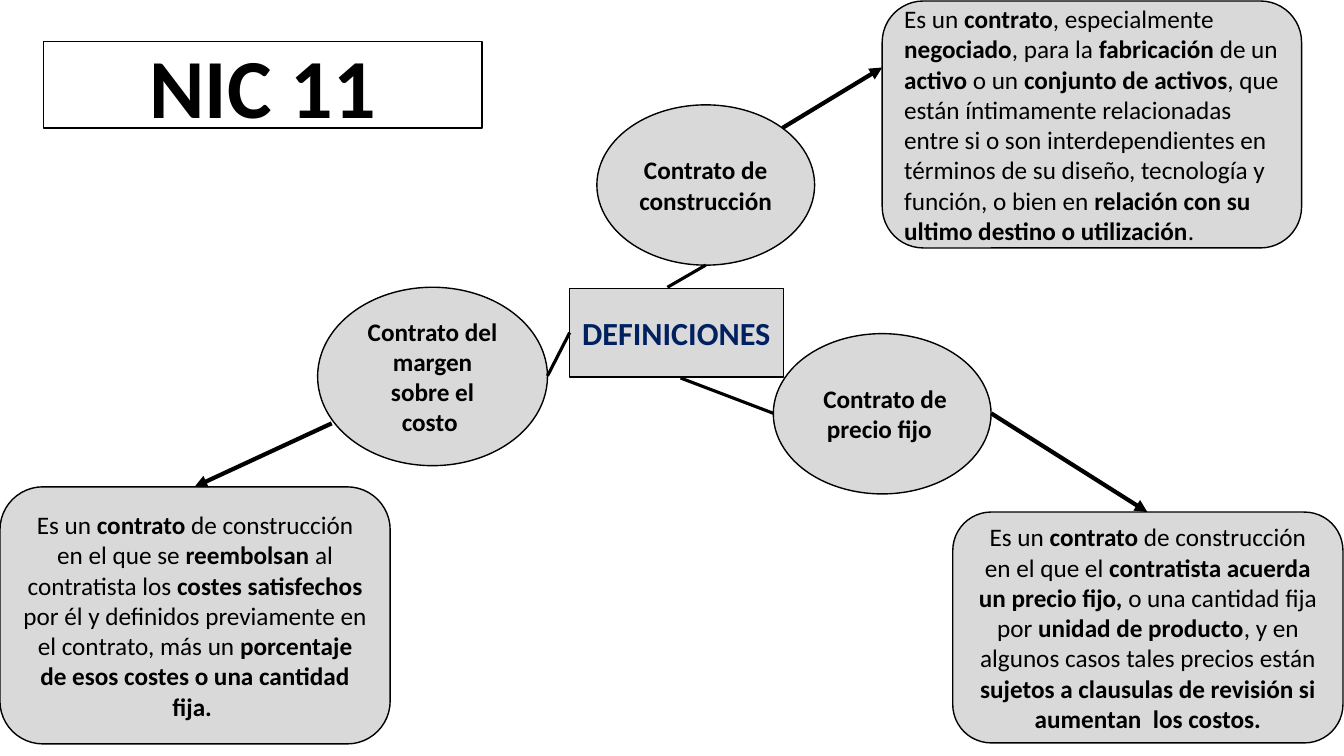
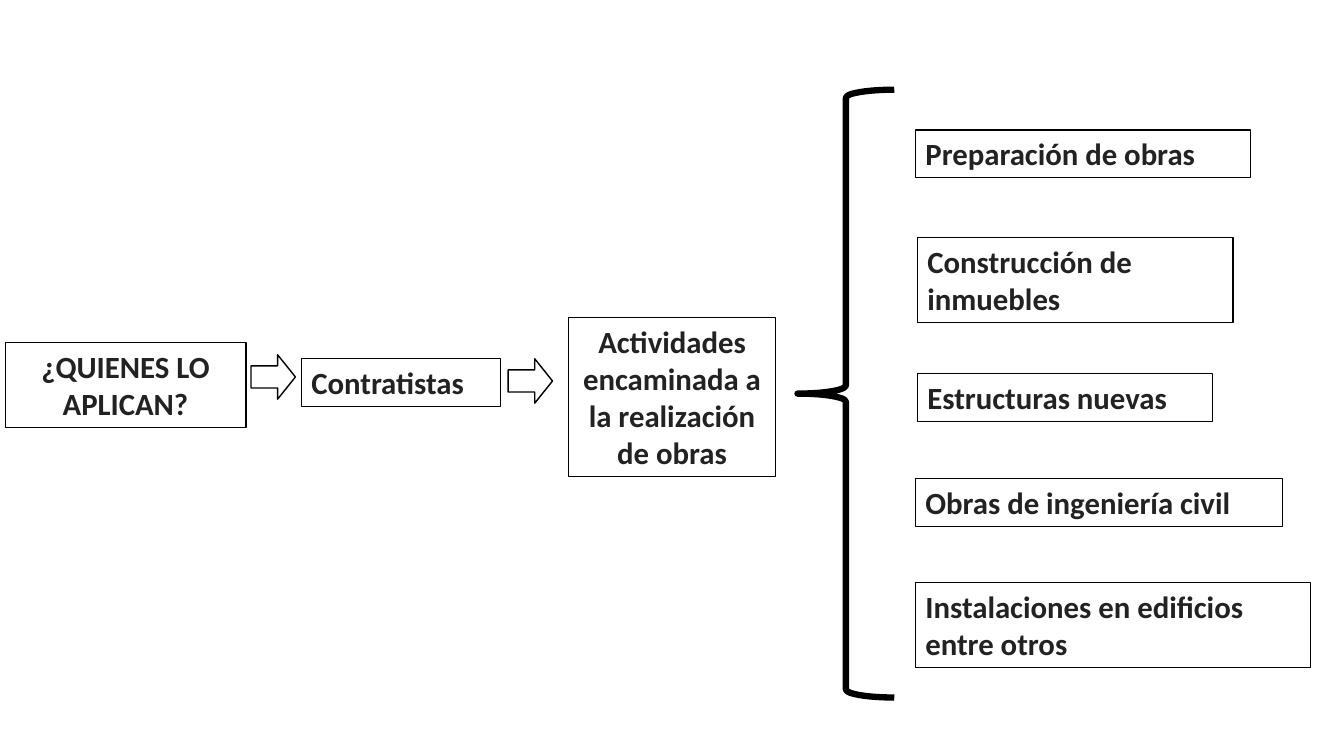
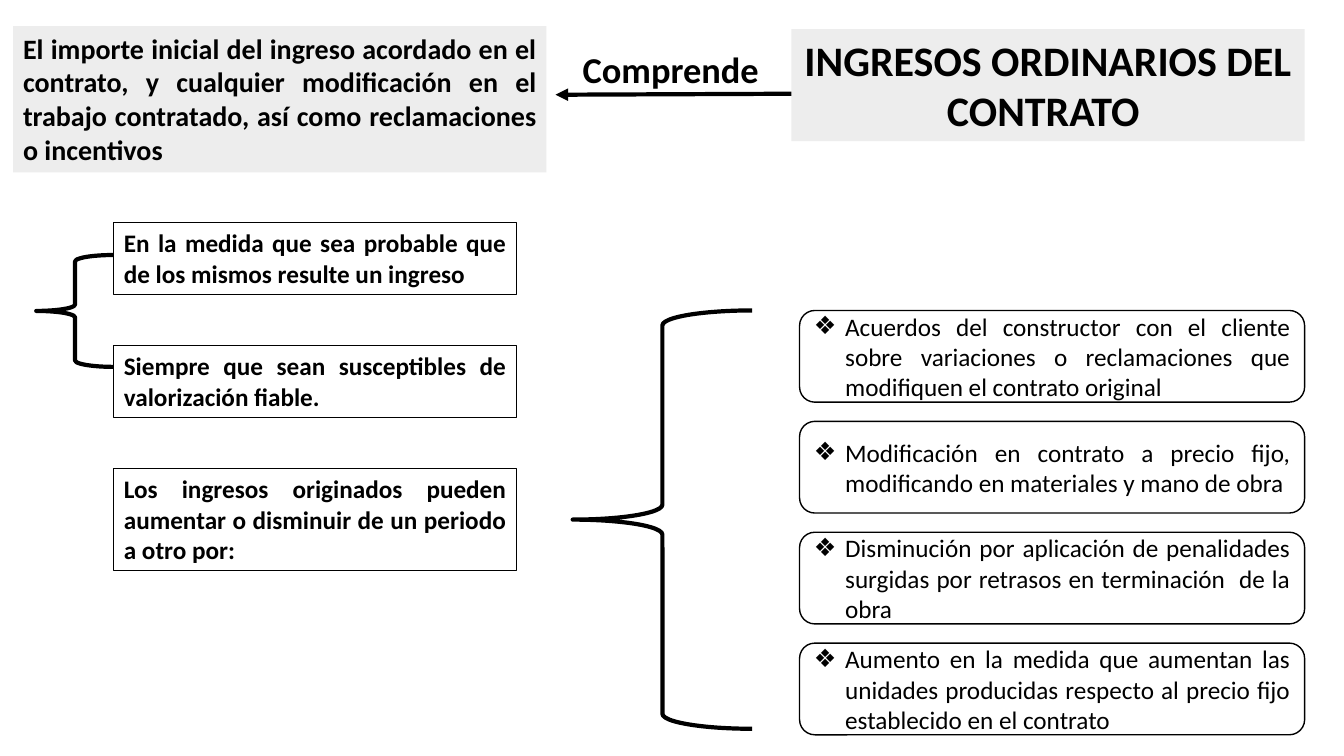
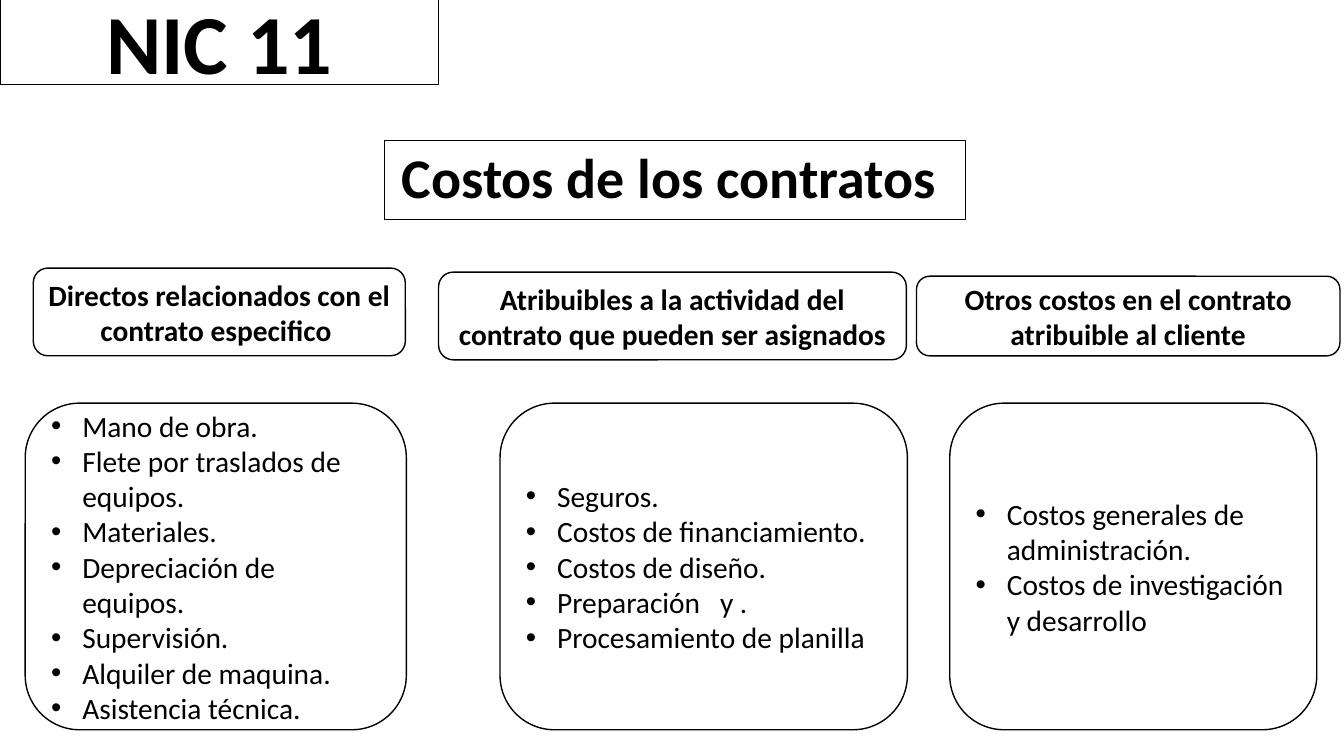
from lxml import etree
from pptx import Presentation
from pptx import util as u
from pptx.dml.color import RGBColor
from pptx.enum import shapes, text
from pptx.oxml import ns

PX = 9144  # 100 px to the inch
FONT = "Calibri"
BLACK = RGBColor(0x00, 0x00, 0x00)
CHARCOAL = RGBColor(0x22, 0x22, 0x22)
NAVY = RGBColor(0x00, 0x20, 0x60)
GREY = RGBColor(0xD9, 0xD9, 0xD9)
PALE = RGBColor(0xED, 0xED, 0xED)

KIND = shapes.MSO_SHAPE
LEFT, CENTER, JUSTIFY = (text.PP_ALIGN.LEFT, text.PP_ALIGN.CENTER,
                         text.PP_ALIGN.JUSTIFY)
TOP, MIDDLE = text.MSO_ANCHOR.TOP, text.MSO_ANCHOR.MIDDLE
INDENT = 31


def add_bullet(para, mark):
    props = para._p.get_or_add_pPr()
    props.set("marL", str(INDENT * PX))
    props.set("indent", str(-INDENT * PX))
    etree.SubElement(props, ns.qn("a:buFont")).set("typeface", "Arial")
    etree.SubElement(props, ns.qn("a:buChar")).set("char", mark)


def write(box, words, size=18, color=BLACK, bold=False, align=CENTER,
          anchor=MIDDLE, bullet=None, spacing=1.0):
    """Fill a box; each line is a paragraph and ** switches bold on or off."""
    frame = box.text_frame
    frame.word_wrap = True
    frame.auto_size = text.MSO_AUTO_SIZE.NONE
    frame.vertical_anchor = anchor
    for index, line in enumerate(words.split("\n")):
        para = frame.add_paragraph() if index else frame.paragraphs[0]
        para.alignment = align
        para.line_spacing = spacing
        if bullet:
            add_bullet(para, bullet)
        for part, piece in enumerate(line.split("**")):
            if not piece:
                continue
            span = para.add_run()
            span.text = piece
            span.font.name = FONT
            span.font.size = u.Pt(size)
            span.font.bold = bold or part % 2 == 1
            span.font.color.rgb = color


def paint(box, fill=None, line=1.0):
    if fill is None:
        box.fill.background()
    else:
        box.fill.solid()
        box.fill.fore_color.rgb = fill
    if line:
        box.line.color.rgb = BLACK
        box.line.width = u.Pt(line)
    else:
        box.line.fill.background()


def add_box(page, kind, place, words="", fill=None, line=1.0, **style):
    box = page.shapes.add_shape(kind, *(n * PX for n in place))
    box.shadow.inherit = False
    paint(box, fill, line)
    if words:
        write(box, words, **style)
    return box


def add_label(page, place, words, line=0.75, fill=None, **style):
    box = page.shapes.add_textbox(*(n * PX for n in place))
    paint(box, fill, line)
    write(box, words, bold=True, anchor=TOP, **style)


def add_line(page, start, end, width=3.0, arrow=True):
    link = page.shapes.add_connector(shapes.MSO_CONNECTOR.STRAIGHT,
                                     *(n * PX for n in start + end))
    link.line.color.rgb = BLACK
    link.line.width = u.Pt(width)
    if arrow:
        etree.SubElement(link.line._get_or_add_ln(),
                         ns.qn("a:tailEnd")).set("type", "triangle")
    etree.SubElement(link._element.spPr, ns.qn("a:effectLst"))


def add_page(deck, title, place, fill=None, line=1.0, **style):
    page = deck.slides.add_slide(deck.slide_layouts[5])
    box = page.shapes.title
    box.left, box.top, box.width, box.height = (n * PX for n in place)
    paint(box, fill, line)
    write(box, title, bold=True, **style)
    return page


def build_definitions(deck):
    page = add_page(deck, "NIC 11", (43, 41, 435, 86), size=60)
    # Explanations
    for place, align, words in (
        ((875, 1, 416, 245), LEFT,
         "Es un **contrato**, especialmente **negociado**, para la "
         "**fabricación** de un **activo** o un **conjunto de activos**, que "
         "están íntimamente relacionadas entre si o son interdependientes en "
         "términos de su diseño, tecnología y función, o bien en "
         "**relación con su ultimo destino o utilización**."),
        ((945, 508, 387, 229), CENTER,
         "Es un **contrato** de construcción en el que el **contratista "
         "acuerda un precio fijo,** o una cantidad fija por **unidad de "
         "producto**, y en algunos casos tales precios están **sujetos a "
         "clausulas de revisión si aumentan  los costos.**"),
        ((0, 483, 387, 255), CENTER,
         "Es un **contrato** de construcción en el que se **reembolsan** al "
         "contratista los **costes satisfechos **por él y definidos "
         "previamente en el contrato, más un **porcentaje de esos costes o "
         "una cantidad fija. **"),
    ):
        add_box(page, KIND.ROUNDED_RECTANGLE, place, words, fill=GREY,
                align=align)
    # Kinds of contract
    for place, words in (
        ((592, 104, 216, 159), "Contrato de construcción"),
        ((767, 331, 216, 159), "\u00a0Contrato de precio fijo "),
        ((315, 285, 228, 177), "Contrato del margen sobre el costo "),
    ):
        add_box(page, KIND.OVAL, place, words, fill=GREY, bold=True)
    add_box(page, KIND.RECTANGLE, (565, 286, 212, 88), "DEFINICIONES",
            fill=GREY, size=23, color=NAVY, bold=True)
    # Links
    for start, end in (((776, 127), (875, 67)), ((983, 410), (1138, 508)),
                       ((329, 420), (193, 483))):
        add_line(page, start, end)
    for start, end in (((700, 263), (662, 285)), ((675, 375), (767, 410)),
                       ((543, 373), (565, 330))):
        add_line(page, start, end, width=2.25, arrow=False)


def build_users(deck):
    style = {"size": 22, "color": CHARCOAL}
    page = add_page(deck, "¿QUIENES LO APLICAN?", (5, 340, 239, 84),
                    line=0.75, anchor=TOP, **style)
    # Chain and list of works
    for place, align, words in (
        ((299, 356, 197, 47), LEFT, "Contratistas"),
        ((564, 315, 205, 158), CENTER,
         "Actividades encaminada a la realización de obras"),
        ((908, 129, 332, 47), LEFT, "Preparación de obras"),
        ((910, 236, 313, 84), LEFT, "Construcción de inmuebles"),
        ((910, 371, 293, 47), LEFT, "Estructuras nuevas"),
        ((908, 475, 364, 47), LEFT, "Obras de ingeniería civil"),
        ((908, 578, 392, 84), LEFT, "Instalaciones en edificios entre otros"),
    ):
        add_label(page, place, words, align=align, **style)
    add_box(page, KIND.LEFT_BRACE, (791, 89, 96, 603), line=4.5)
    for left, top in ((249, 352), (504, 356)):
        arrow = add_box(page, KIND.RIGHT_ARROW, (left, top, 44, 44))
        arrow.adjustments[1] = 0.4


def build_income(deck):
    page = add_page(deck, "INGRESOS ORDINARIOS DEL CONTRATO ",
                    (785, 29, 509, 111), fill=PALE, line=0, size=30,
                    anchor=TOP)
    add_label(page, (13, 26, 529, 145),
              "El importe inicial del ingreso acordado en el contrato, y "
              "cualquier modificación en el trabajo contratado, así como "
              "reclamaciones o incentivos",
              fill=PALE, line=0, size=20, align=JUSTIFY)
    add_line(page, (785, 93), (551, 94))
    add_label(page, (568, 42, 199, 54), "Comprende", line=0, size=26,
              align=LEFT)
    # Conditions
    for row, (height, words) in enumerate((
        (71, "En la medida que sea probable que de los mismos resulte un "
             "ingreso "),
        (71, "Siempre que sean susceptibles de valorización fiable."),
        (101, "Los ingresos originados pueden aumentar o disminuir de un "
              "periodo a otro por:"),
    )):
        add_label(page, (113, 221 + 122 * row, 399, height), words,
                  align=JUSTIFY)
    # Causes
    for row, words in enumerate((
        "Acuerdos del constructor con el cliente sobre variaciones o "
        "reclamaciones que modifiquen el contrato original ",
        "Modificación en contrato a precio fijo, modificando en materiales y "
        "mano de obra",
        "Disminución por aplicación de penalidades surgidas por retrasos en "
        "terminación  de la obra",
        "Aumento en la medida que aumentan las unidades producidas respecto "
        "al precio fijo establecido en el contrato",
    )):
        add_box(page, KIND.ROUNDED_RECTANGLE, (793, 308 + 110 * row, 501, 91),
                words, align=JUSTIFY, bullet="❖")
    for place in ((568, 308, 178, 415), (36, 253, 77, 111)):
        add_box(page, KIND.LEFT_BRACE, place, line=3)


def build_costs(deck):
    page = add_page(deck, "Costos de los contratos ", (381, 139, 577, 79),
                    line=0.75, size=40, spacing=0.9)
    # Cost groups: heading above its list
    for head_place, head, left, width, items in (
        ((33, 266, 369, 87),
         "Directos relacionados con el contrato especifico ", 25, 378,
         "Mano de obra.\nFlete por traslados de equipos.\nMateriales.\n"
         "Depreciación de equipos.\nSupervisión.\nAlquiler de maquina.\n"
         "Asistencia técnica."),
        ((435, 270, 464, 87),
         "Atribuibles a la actividad del contrato que pueden ser asignados",
         496, 404,
         "Seguros.\nCostos de financiamiento.\nCostos de diseño.\n"
         "Preparación   y .\nProcesamiento de planilla"),
        ((909, 274, 420, 79),
         "Otros costos en el contrato atribuible al cliente", 942, 364,
         "Costos generales de administración.\n"
         "Costos de investigación y desarrollo"),
    ):
        add_box(page, KIND.ROUNDED_RECTANGLE, head_place, head, size=21,
                bold=True)
        add_box(page, KIND.ROUNDED_RECTANGLE, (left, 400, width, 324), items,
                size=21, align=LEFT, bullet="•")
    add_box(page, KIND.RECTANGLE, (0, -2, 435, 86), "NIC 11", size=60,
            bold=True)


def main():
    deck = Presentation()
    deck.slide_width, deck.slide_height = 1333 * PX, 750 * PX
    build_definitions(deck)
    build_users(deck)
    build_income(deck)
    build_costs(deck)
    deck.save("out.pptx")


if __name__ == "__main__":
    main()
